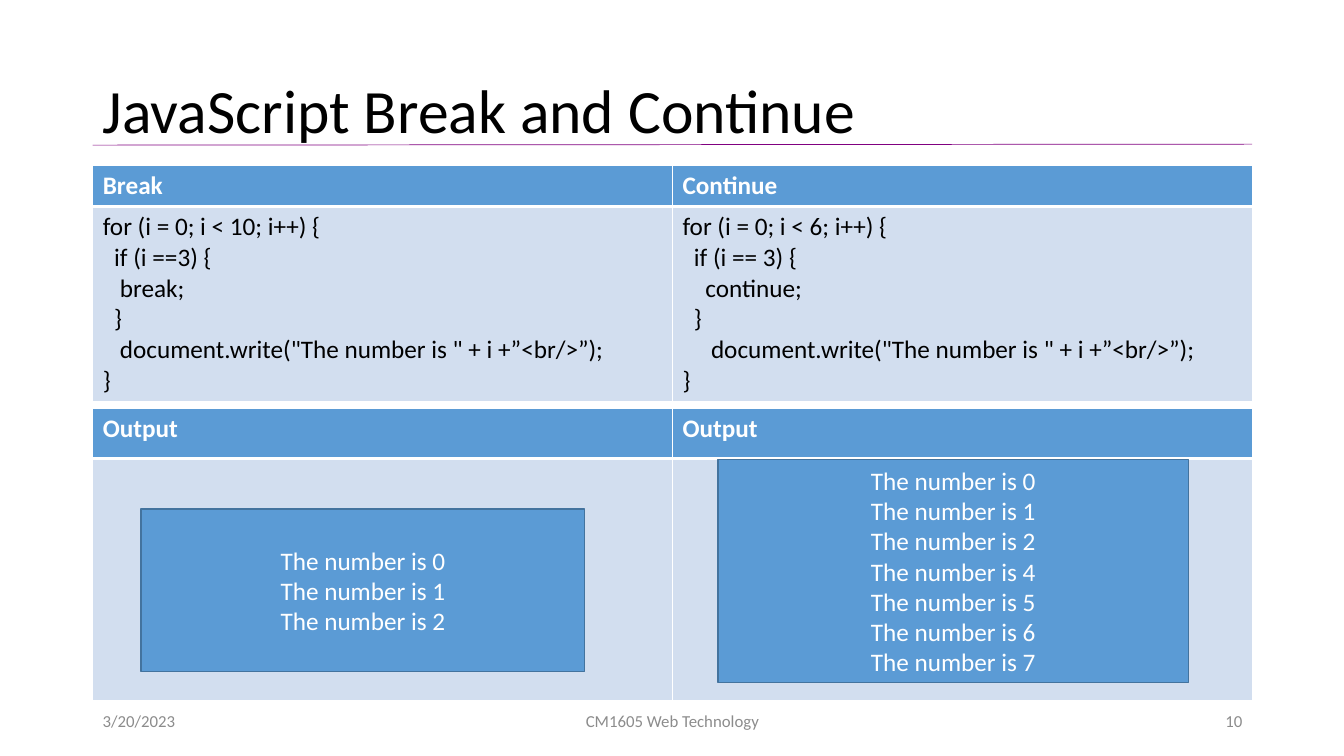
from dataclasses import dataclass
from lxml import etree
from pptx import Presentation
from pptx.dml.color import RGBColor as Rgb
from pptx.enum.shapes import MSO_CONNECTOR as Conn, MSO_SHAPE as Shape
from pptx.enum.text import MSO_ANCHOR as Anchor, MSO_AUTO_SIZE as Fit, PP_ALIGN as Align
from pptx.oxml.ns import qn
from pptx.util import Inches, Pt

# Content
TITLE = "JavaScript Break and Continue"
BREAK = """for (i = 0; i < 10; i++) {
  if (i ==3) {
   break;
  }
   document.write("The number is " + i +”<br/>”);
}"""
CONT = """for (i = 0; i < 6; i++) {
  if (i == 3) {
    continue;
  }
     document.write("The number is " + i +”<br/>”);
}"""
# Table: top, row heights, rows
TABLES = [
    (1.64, (0.41, 1.9), [("Break", "Continue"), (BREAK, CONT)]),
    (4.05, (0.5, 2.4), [("Output", "Output"), ("", "")]),
]
# Output box: left, top, width, height, numbers
BOXES = [
    (1.4, 5.05, 4.4, 1.61, (0, 1, 2)),
    (7.12, 4.56, 4.67, 2.21, (0, 1, 2, 4, 5, 6, 7)),
]
# Footer: text, width, alignment
FOOT = [
    ("3/20/2023", 3, Align.LEFT),
    ("CM1605 Web Technology", 4.5, Align.CENTER),
    ("10", 3, Align.RIGHT),
]
LEFT, WIDE = 0.92, 11.5


@dataclass(frozen=True)
class Theme:
    font: str = "Calibri"
    black: str = "000000"
    white: str = "FFFFFF"
    blue: str = "5B9BD5"
    pale: str = "D2DEEF"
    edge: str = "43739E"
    rule: str = "800080"
    gray: str = "8C8C8C"
    head: int = 44
    body: int = 18
    small: int = 12


theme = Theme()


def paint(fill, color):
    fill.solid()
    fill.fore_color.rgb = Rgb.from_string(color)


def write(frame, text, size, color, align=Align.LEFT, bold=False):
    frame.text = text
    for para in frame.paragraphs:
        para.alignment = align
        font = para.font
        font.name, font.size, font.bold = theme.font, Pt(size), bold
        font.color.rgb = Rgb.from_string(color)


def border(cell, top, base):
    """Draw white lines round a cell; they must come before its fill."""
    props = cell._tc.get_or_add_tcPr()
    sides = (("L", 1), ("R", 1), ("T", top), ("B", base))
    for spot, (side, width) in enumerate(sides):
        line = etree.Element(qn(f"a:ln{side}"), w=str(Pt(width)))
        fill = etree.SubElement(line, qn("a:solidFill"))
        etree.SubElement(fill, qn("a:srgbClr"), val=theme.white)
        props.insert(spot, line)


deck = Presentation()
deck.slide_width, deck.slide_height = Inches(13.33), Inches(7.5)
slide = deck.slides.add_slide(deck.slide_layouts[5])
shapes = slide.shapes

# Title and rule
title = shapes.title
title.left, title.top = Inches(LEFT), Inches(0.4)
title.width, title.height = Inches(WIDE), Inches(1.45)
frame = title.text_frame
frame.auto_size, frame.vertical_anchor = Fit.NONE, Anchor.MIDDLE
write(frame, TITLE, theme.head, theme.black)
frame.paragraphs[0].line_spacing = 0.9

rule = shapes.add_connector(
    Conn.STRAIGHT, Inches(LEFT), Inches(1.44), Inches(LEFT + WIDE), Inches(1.43))
rule.line.color.rgb = Rgb.from_string(theme.rule)
rule.line.width = Pt(0.5)
etree.SubElement(rule._element.spPr, qn("a:effectLst"))

# Code and output tables
for top, highs, rows in TABLES:
    table = shapes.add_table(
        len(rows), 2, Inches(LEFT), Inches(top), Inches(WIDE), Inches(sum(highs))).table
    table.horz_banding = False
    for r, (high, row) in enumerate(zip(highs, rows)):
        table.rows[r].height = Inches(high)
        first = r == 0
        for c, text in enumerate(row):
            cell = table.cell(r, c)
            paint(cell.fill, theme.blue if first else theme.pale)
            border(cell, *((1, 3) if first else (3, 1)))
            write(cell.text_frame, text, theme.body,
                  theme.white if first else theme.black, bold=first)

# Output boxes
for left, top, width, high, nums in BOXES:
    box = shapes.add_shape(
        Shape.RECTANGLE, Inches(left), Inches(top), Inches(width), Inches(high))
    box.shadow.inherit = False
    paint(box.fill, theme.blue)
    box.line.color.rgb = Rgb.from_string(theme.edge)
    box.line.width = Pt(1)
    box.text_frame.vertical_anchor = Anchor.MIDDLE
    text = "\n".join(f"The number is {n}" for n in nums)
    write(box.text_frame, text, theme.body, theme.white, Align.CENTER)

# Footer, with equal gaps between its parts
gap = (WIDE - sum(width for _, width, _ in FOOT)) / (len(FOOT) - 1)
left = LEFT
for text, width, align in FOOT:
    frame = shapes.add_textbox(
        Inches(left), Inches(6.95), Inches(width), Inches(0.4)).text_frame
    frame.word_wrap, frame.vertical_anchor = True, Anchor.MIDDLE
    write(frame, text, theme.small, theme.gray, align)
    left += width + gap

deck.save("out.pptx")
